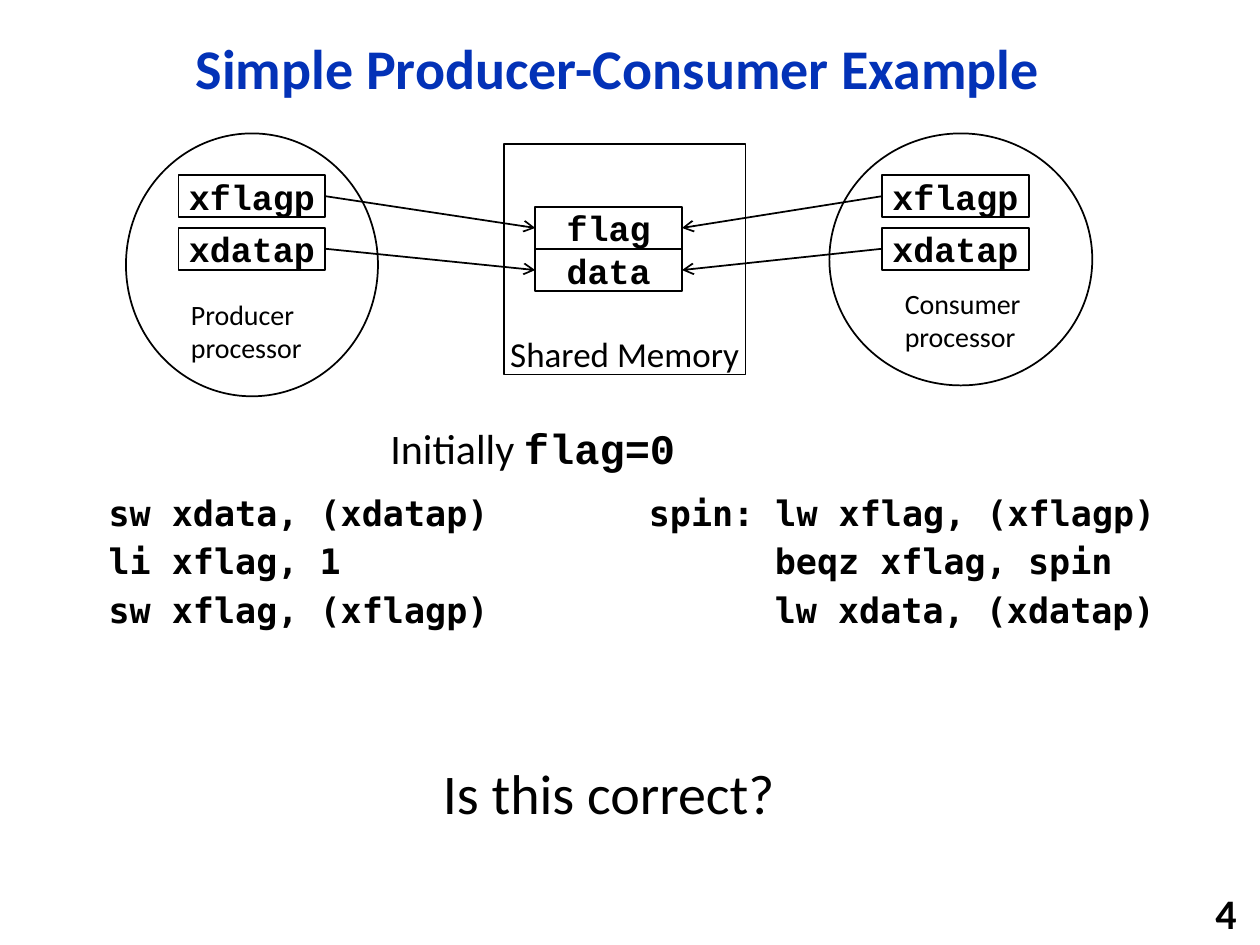
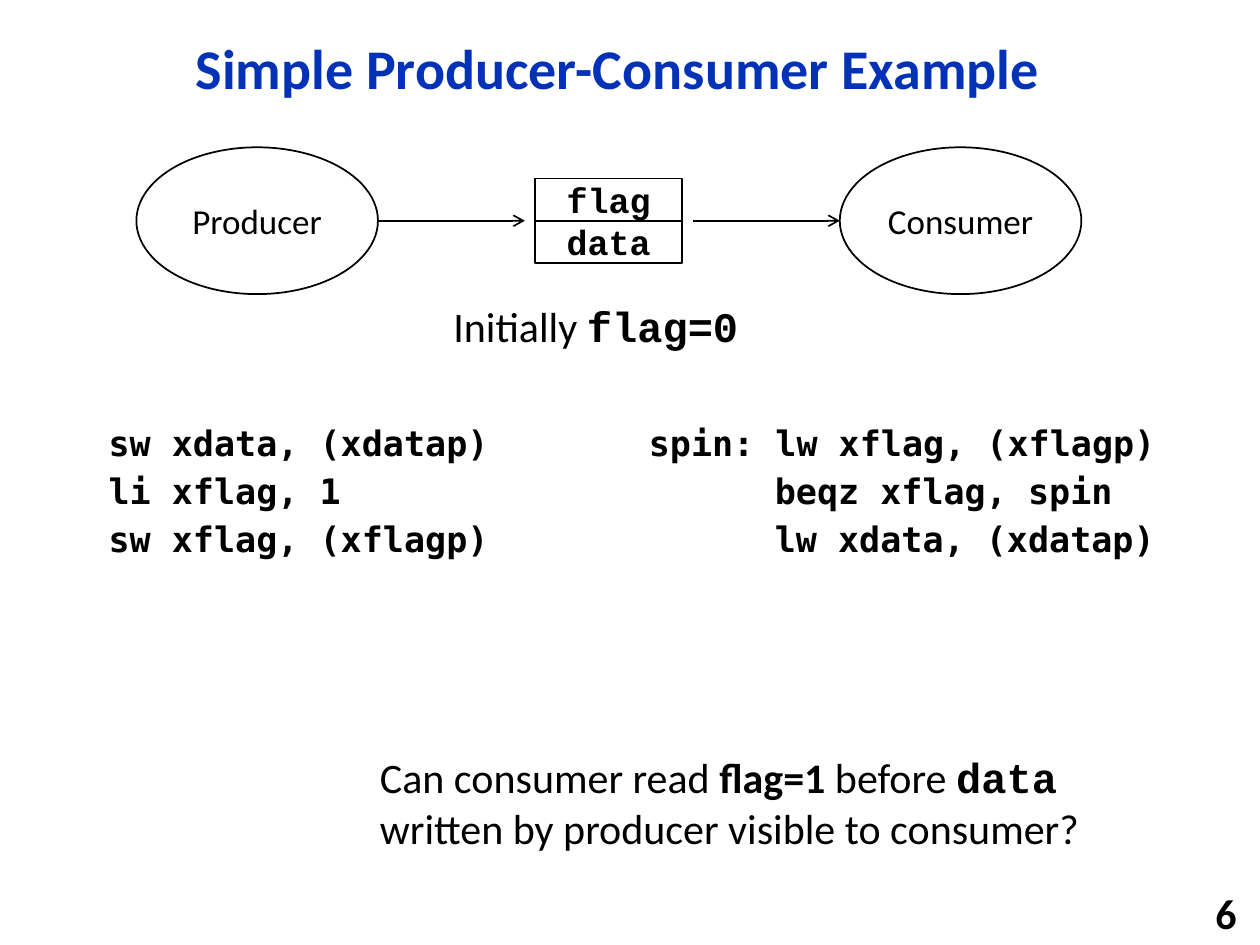
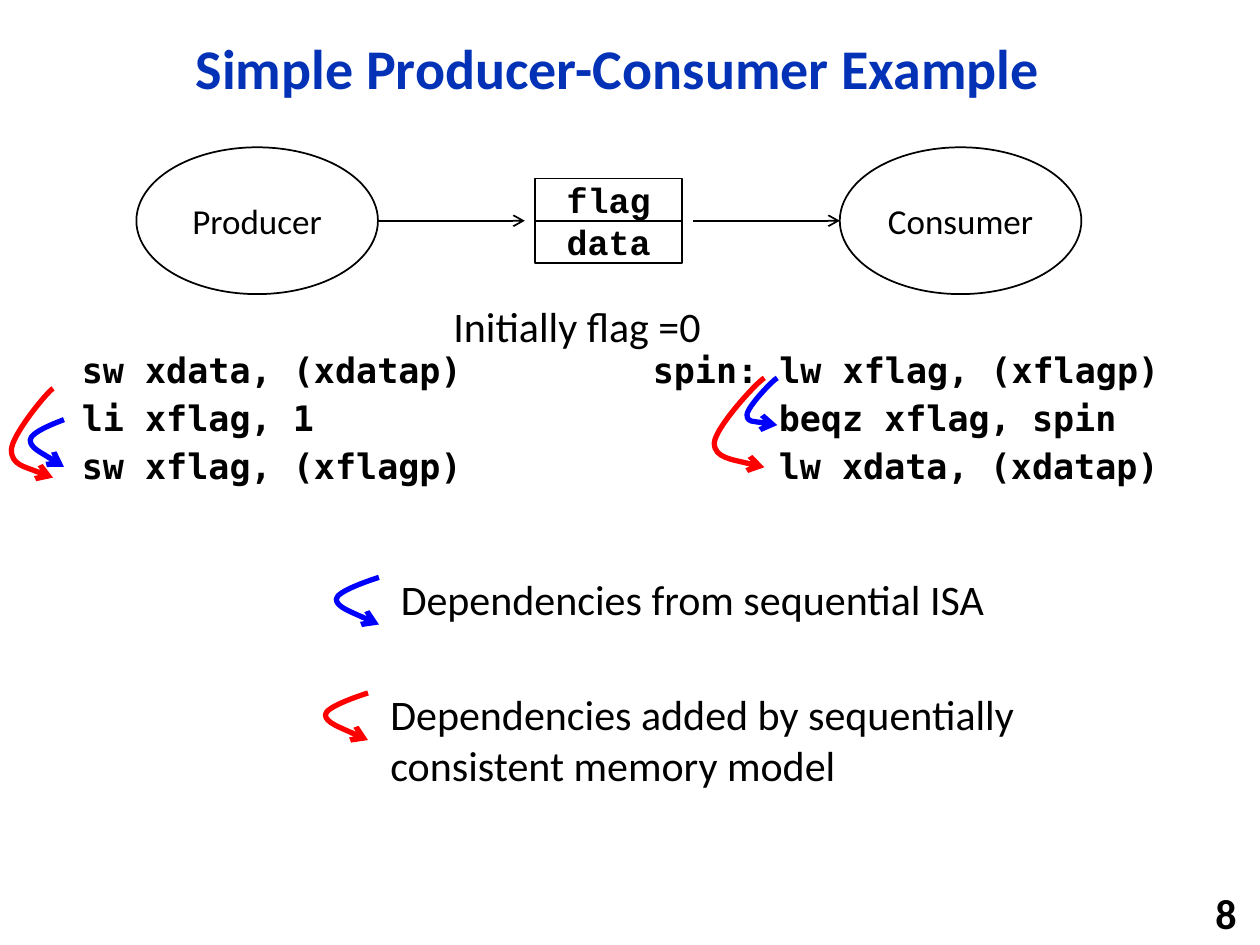
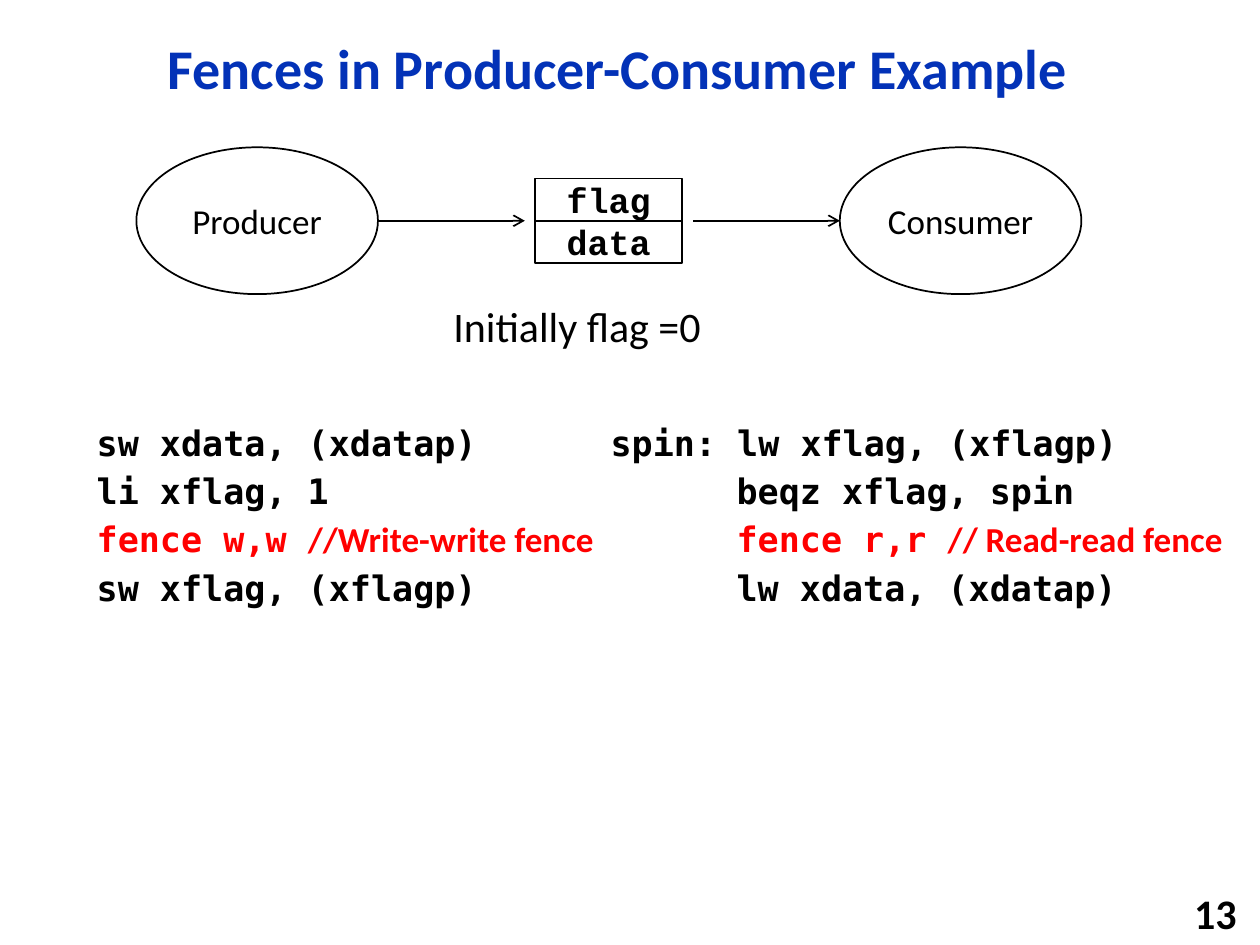
import lxml.etree
import pptx
import pptx.dml.color
import pptx.enum.shapes
import pptx.enum.text
import pptx.oxml.ns
import pptx.util

Cm = pptx.util.Cm
Pt = pptx.util.Pt
SHAPE = pptx.enum.shapes.MSO_SHAPE
ANCHOR = pptx.enum.text.MSO_ANCHOR
ALIGN = pptx.enum.text.PP_ALIGN
qn = pptx.oxml.ns.qn

COLOURS = {"title": "0332B7", "ink": "000000", "paper": "FFFFFF",
           "isa": "0000FF", "model": "FF0000"}
SANS = "Calibri"
MONO = "Courier New"
CODE = "DejaVu Sans Mono"

CELL_WIDTH, CELL_HEIGHT = 2.96, 0.85
MEMORY_LEFT = 10.79
OVAL_WIDTH, OVAL_HEIGHT = 4.87, 2.96
OVAL_TOP = 2.97
CODE_TAB = 2.54

PRODUCER_CODE = ["sw xdata, (xdatap)", "li xflag, 1", "sw xflag, (xflagp)"]
CONSUMER_CODE = ["spin: lw xflag, (xflagp)", "\tbeqz xflag, spin", "\tlw xdata, (xdatap)"]


def rgb(colour):
    return pptx.dml.color.RGBColor.from_string(COLOURS[colour])


def format_run(run, size, font, bold, colour):
    run.font.size = Pt(size)
    run.font.name = font
    run.font.bold = bold
    run.font.color.rgb = rgb(colour)


def format_runs(paragraph, size, font=SANS, bold=False, colour="ink"):
    for run in paragraph.runs:
        format_run(run, size, font, bold, colour)


def add_pieces(paragraph, pieces, size):
    for text, font, bold, colour in pieces:
        run = paragraph.add_run()
        run.text = text
        format_run(run, size, font, bold, colour)


def add_slide(presentation, title, number):
    slide = presentation.slides.add_slide(presentation.slide_layouts[5])
    placeholder = slide.shapes.title
    placeholder.left, placeholder.top = Cm(2.32), Cm(0.41)
    placeholder.width, placeholder.height = Cm(20.27), Cm(2.06)
    placeholder.text_frame.text = title
    placeholder.text_frame.vertical_anchor = ANCHOR.MIDDLE
    paragraph = placeholder.text_frame.paragraphs[0]
    paragraph.alignment = ALIGN.CENTER
    paragraph.line_spacing = 0.9
    format_runs(paragraph, 32, bold=True, colour="title")

    number_box = add_text(slide, 19.9, 17.98, 5.28, 0.82, str(number), 24, bold=True)
    number_box.text_frame.vertical_anchor = ANCHOR.MIDDLE
    number_box.text_frame.paragraphs[0].alignment = ALIGN.RIGHT
    return slide


def add_text(slide, left, top, width, height, content, size, bold=False, wrap=True):
    box = slide.shapes.add_textbox(Cm(left), Cm(top), Cm(width), Cm(height))
    box.text_frame.word_wrap = wrap
    paragraph = box.text_frame.paragraphs[0]
    if isinstance(content, str):
        paragraph.text = content
        format_runs(paragraph, size, bold=bold)
    else:
        add_pieces(paragraph, content, size)
    return box


def add_tab_stop(paragraph, position):
    properties = paragraph._p.get_or_add_pPr()
    stops = lxml.etree.SubElement(properties, qn("a:tabLst"))
    lxml.etree.SubElement(stops, qn("a:tab"), pos=str(Cm(position)), algn="l")


def add_code(slide, left, top, width, height, lines):
    box = slide.shapes.add_textbox(Cm(left), Cm(top), Cm(width), Cm(height))
    frame = box.text_frame
    frame.word_wrap = True
    for index, line in enumerate(lines):
        paragraph = frame.add_paragraph() if index else frame.paragraphs[0]
        paragraph.line_spacing = 0.9
        if index:
            paragraph.space_before = Pt(6)
        add_tab_stop(paragraph, CODE_TAB)
        if isinstance(line, str):
            paragraph.text = line
            format_runs(paragraph, 20, CODE, bold=True)
        else:
            add_pieces(paragraph, line, 20)


def fence_line(instruction, remark):
    return [(instruction, CODE, True, "model"), (remark, SANS, True, "model")]


def add_outline(slide, kind, left, top, width, height, text="", font=SANS, bold=False,
                anchor=ANCHOR.MIDDLE):
    shape = slide.shapes.add_shape(kind, Cm(left), Cm(top), Cm(width), Cm(height))
    shape.shadow.inherit = False
    shape.fill.solid()
    shape.fill.fore_color.rgb = rgb("paper")
    shape.line.color.rgb = rgb("ink")
    shape.line.width = Pt(1)
    if text:
        frame = shape.text_frame
        frame.margin_left = frame.margin_right = frame.margin_top = frame.margin_bottom = 0
        frame.vertical_anchor = anchor
        frame.text = text
        frame.paragraphs[0].alignment = ALIGN.CENTER
        format_runs(frame.paragraphs[0], 20, font, bold)
    return shape


def add_cell(slide, left, top, text):
    return add_outline(slide, SHAPE.RECTANGLE, left, top, CELL_WIDTH, CELL_HEIGHT,
                       text, MONO, True)


def add_memory_cells(slide, top):
    data = add_cell(slide, MEMORY_LEFT, top + CELL_HEIGHT, "data")
    flag = add_cell(slide, MEMORY_LEFT, top, "flag")
    return flag, data


def add_arrowhead(shape):
    line = shape.line._get_or_add_ln()
    lxml.etree.SubElement(line, qn("a:tailEnd"), type="arrow")


def add_arrow(slide, left=0, right=0, y=0):
    arrow = slide.shapes.add_connector(pptx.enum.shapes.MSO_CONNECTOR.STRAIGHT,
                                       Cm(left), Cm(y), Cm(right), Cm(y))
    arrow.line.color.rgb = rgb("ink")
    arrow.line.width = Pt(1)
    add_arrowhead(arrow)
    lxml.etree.SubElement(arrow._element.spPr, qn("a:effectLst"))
    return arrow


def join_cells(slide, start, start_side, end, end_side):
    arrow = add_arrow(slide)
    arrow.begin_connect(start, start_side)
    arrow.end_connect(end, end_side)


def add_dependency(slide, left, top, width, height, bend, colour):
    controls = [(0.86, 0.04), (0.01, bend - 0.17), (0, bend),
                (0, bend + 0.17), (1, 1), (1, 1)]
    points = [(Cm(left + width * x), Cm(top + height * y)) for x, y in controls]
    builder = slide.shapes.build_freeform(Cm(left + width), Cm(top))
    builder.add_line_segments(points, close=False)
    curve = builder.convert_to_shape()
    segments = list(curve._element.iter(qn("a:lnTo")))
    outline = segments[0].getparent()
    for first in range(0, len(segments), 3):
        bezier = lxml.etree.SubElement(outline, qn("a:cubicBezTo"))
        for segment in segments[first:first + 3]:
            bezier.append(segment[0])
            outline.remove(segment)
    curve.shadow.inherit = False
    curve.fill.background()
    curve.line.color.rgb = rgb(colour)
    curve.line.width = Pt(3)
    add_arrowhead(curve)


def add_initial_value(slide, left, top):
    pieces = [("Initially ", SANS, False, "ink"), ("flag=0", MONO, True, "ink")]
    add_text(slide, left, top, 6.3, 1.27, pieces, 24, wrap=False)


def add_plain_initial_value(slide):
    add_text(slide, 8.89, 5.93, 5.54, 1.27, "Initially flag =0", 24, wrap=False)


def add_flow(slide):
    middle = OVAL_TOP + OVAL_HEIGHT / 2
    add_memory_cells(slide, middle - CELL_HEIGHT)
    for left, name in ((2.75, "Producer"), (16.93, "Consumer")):
        add_outline(slide, SHAPE.OVAL, left, OVAL_TOP, OVAL_WIDTH, OVAL_HEIGHT, name)
    for left in (7.62, 13.97):
        add_arrow(slide, left, left + 2.96, middle)


def build_pointer_slide(presentation):
    slide = add_slide(presentation, "Simple Producer-Consumer Example", 4)
    add_outline(slide, SHAPE.RECTANGLE, 10.16, 2.9, 4.87, 4.65, "Shared Memory",
                anchor=ANCHOR.BOTTOM)
    memory_cells = add_memory_cells(slide, 4.17)
    add_outline(slide, SHAPE.OVAL, 2.54, 2.69, 5.08, 5.3)
    add_outline(slide, SHAPE.OVAL, 16.72, 2.69, 5.3, 5.08)
    for left, outer_side, memory_side in ((3.6, 3, 1), (17.78, 1, 3)):
        for row, name in enumerate(("xflagp", "xdatap")):
            pointer = add_cell(slide, left, 3.53 + 1.06 * row, name)
            join_cells(slide, pointer, outer_side, memory_cells[row], memory_side)
    add_text(slide, 3.6, 5.87, 2.96, 1.63, "Producer processor", 16)
    add_text(slide, 17.99, 5.65, 2.96, 1.63, "Consumer processor", 16)
    add_initial_value(slide, 7.62, 8.4)
    add_code(slide, 1.94, 9.88, 10.46, 7.7, PRODUCER_CODE)
    add_code(slide, 12.83, 9.88, 10.87, 7.7, CONSUMER_CODE)
    add_text(slide, 8.68, 15.16, 7.29, 1.63, "Is this correct?", 32, wrap=False)


def build_question_slide(presentation):
    slide = add_slide(presentation, "Simple Producer-Consumer Example", 6)
    add_flow(slide)
    add_initial_value(slide, 8.89, 5.93)
    add_code(slide, 1.94, 8.46, 10.46, 8.53, PRODUCER_CODE)
    add_code(slide, 12.83, 8.46, 11.5, 8.53, CONSUMER_CODE)
    question = [("Can consumer read ", SANS, False, "ink"),
                ("flag=1", SANS, True, "ink"),
                (" before ", SANS, False, "ink"),
                ("data", MONO, True, "ink"),
                (" written by producer visible to consumer?", SANS, False, "ink")]
    add_text(slide, 7.41, 15.03, 15.24, 2.31, question, 24)


def build_dependency_slide(presentation):
    slide = add_slide(presentation, "Simple Producer-Consumer Example", 8)
    add_flow(slide)
    add_plain_initial_value(slide)
    add_code(slide, 1.4, 6.99, 10.46, 10, PRODUCER_CODE)
    add_code(slide, 12.91, 6.99, 11.63, 10, CONSUMER_CODE)
    dependencies = [
        (0.61, 8.46, 0.68, 0.95, 0.43, "isa"),
        (15.06, 7.62, 0.61, 0.95, 0.78, "isa"),
        (6.78, 11.64, 0.86, 0.95, 0.46, "isa"),
        (6.56, 13.97, 0.86, 0.95, 0.46, "model"),
        (0.23, 7.83, 0.84, 1.8, 0.69, "model"),
        (14.4, 7.62, 1.01, 1.8, 0.73, "model"),
    ]
    for dependency in dependencies:
        add_dependency(slide, *dependency)
    add_text(slide, 7.83, 11.43, 12.42, 1.27, "Dependencies from sequential ISA", 24,
             wrap=False)
    add_text(slide, 7.62, 13.76, 13.76, 2.31,
             "Dependencies added by sequentially consistent memory model", 24)


def build_fence_slide(presentation):
    slide = add_slide(presentation, "Fences in Producer-Consumer Example", 13)
    add_flow(slide)
    add_plain_initial_value(slide)
    producer_fence = fence_line("fence w,w ", "//Write-write fence")
    consumer_fence = fence_line("\tfence r,r ", "// Read-read fence")
    add_code(slide, 1.7, 8.46, 11.1, 8.53,
             PRODUCER_CODE[:2] + [producer_fence] + PRODUCER_CODE[2:])
    add_code(slide, 12.06, 8.46, 12.91, 8.53,
             CONSUMER_CODE[:2] + [consumer_fence] + CONSUMER_CODE[2:])


def main():
    presentation = pptx.Presentation()
    presentation.slide_width = Cm(25.4)
    presentation.slide_height = Cm(19.05)
    build_pointer_slide(presentation)
    build_question_slide(presentation)
    build_dependency_slide(presentation)
    build_fence_slide(presentation)
    presentation.save("out.pptx")


if __name__ == "__main__":
    main()
